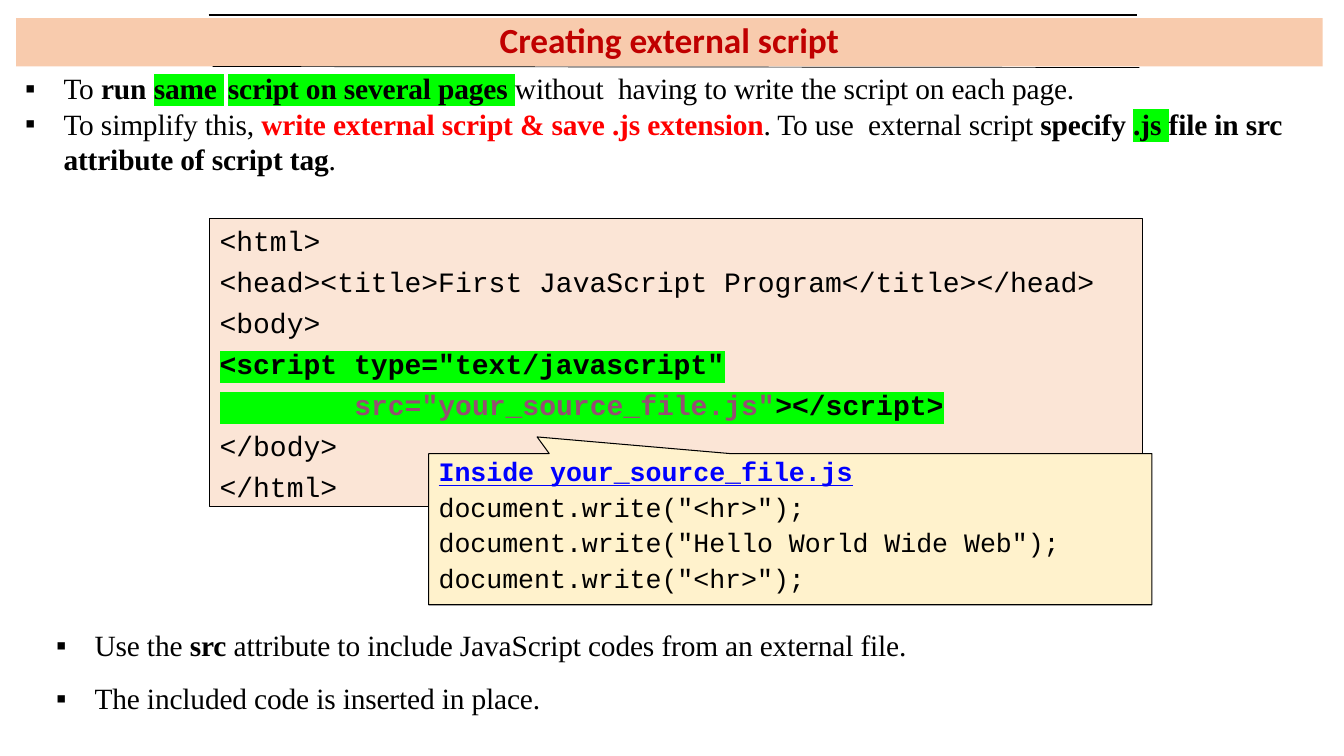
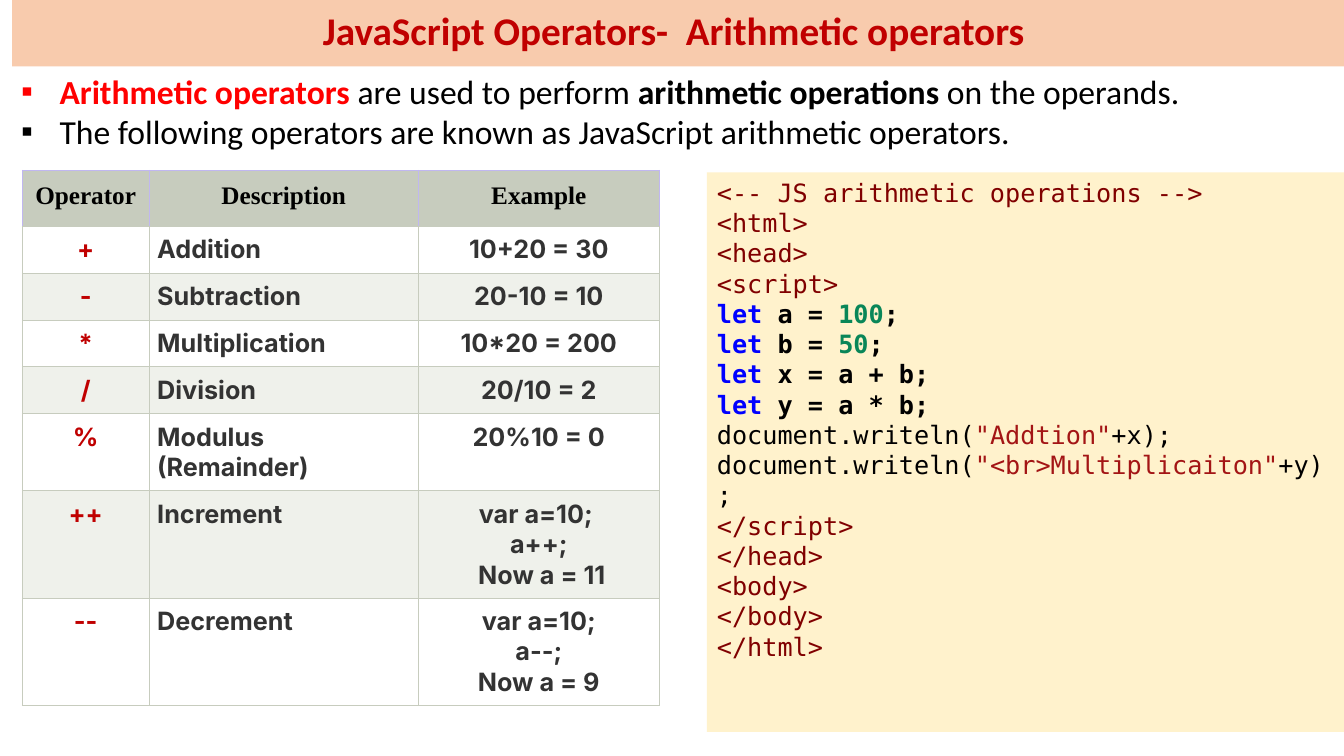
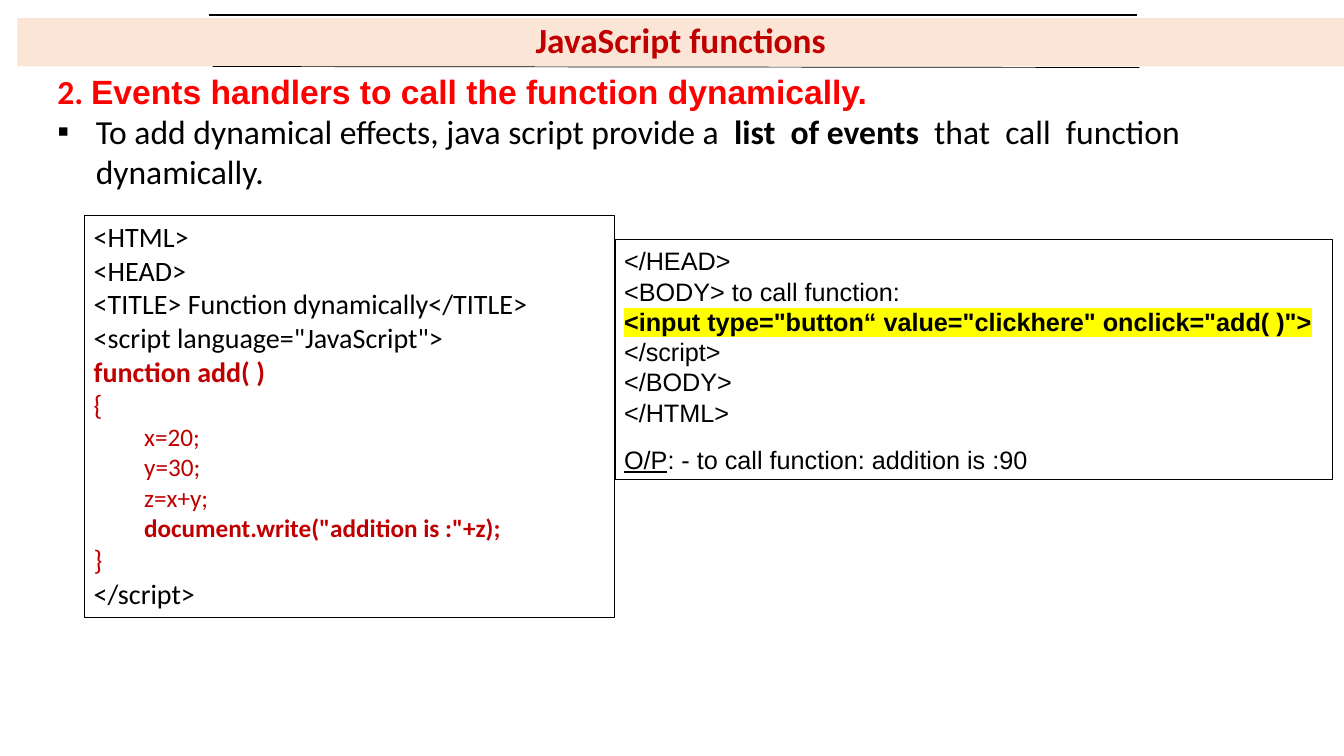
from dataclasses import dataclass, field, replace

from lxml.etree import SubElement
from pptx import Presentation
from pptx.dml.color import RGBColor
from pptx.enum.shapes import MSO_CONNECTOR, MSO_SHAPE
from pptx.enum.text import MSO_ANCHOR, MSO_AUTO_SIZE, PP_ALIGN
from pptx.oxml.ns import qn
from pptx.util import Inches, Pt

SLIDE_WIDTH, SLIDE_HEIGHT = Inches(13.33), Inches(7.5)
TITLE_ONLY = 5


@dataclass(frozen=True)
class Theme:
    """Colours, fonts and type sizes of the whole deck."""

    black: str = "000000"
    white: str = "FFFFFF"
    crimson: str = "C00000"
    red: str = "FF0000"
    blue: str = "0000FF"
    maroon: str = "800000"
    string: str = "A31515"
    number: str = "098658"
    visited: str = "954F72"
    graphite: str = "333333"
    green: str = "00FF00"
    yellow: str = "FFFF00"
    band: str = "F8CBAD"
    pale_band: str = "FBE5D6"
    cream: str = "FFF2CC"
    sage: str = "C7CCBE"
    pale_sage: str = "EFF1EB"
    lilac: str = "C0B7F0"
    sans: str = "Calibri"
    plain: str = "Arial"
    serif: str = "Times New Roman"
    mono: str = "Courier New"
    editor: str = "DejaVu Sans Mono"
    grid: str = "Inter"
    title: float = 25.2
    large_title: float = 28
    lead: float = 24
    note: float = 21
    code: float = 20
    callout: float = 19
    small: float = 18
    outline: float = 0.75
    tight: tuple = (0.09, 0.04)
    normal: tuple = (0.1, 0.05)


THEME = Theme()


@dataclass(frozen=True)
class Style:
    """Character formatting of a run."""

    font: str
    size: float
    color: str = THEME.black
    bold: bool = False
    underline: bool = False
    highlight: str = ""
    tracking: float = 0


@dataclass(frozen=True)
class Line:
    """A paragraph: a string or (text, style) pairs, with its layout."""

    content: object
    style: Style
    layout: dict = field(default_factory=dict)


BULLET = {"indent": (0.38, -0.38), "bullet": "▪"}


def columns(share):
    """Return a length in hundredths of the slide width."""
    return round(SLIDE_WIDTH * share / 100)


def rows(share):
    """Return a length in hundredths of the slide height."""
    return round(SLIDE_HEIGHT * share / 100)


def area(left, top, width, height):
    """Return a frame given in hundredths of the slide."""
    return columns(left), rows(top), columns(width), rows(height)


def rgb(color):
    """Return a colour object for a hexadecimal code."""
    return RGBColor.from_string(color)


def format_run(run, style):
    """Apply a style to a run."""
    font = run.font
    font.name, font.size = style.font, Pt(style.size)
    font.bold, font.underline = style.bold, style.underline
    font.color.rgb = rgb(style.color)
    properties = font._element
    if style.tracking:
        properties.set("spc", str(round(style.tracking * 100)))
    if style.highlight:
        highlight = SubElement(properties, qn("a:highlight"))
        SubElement(highlight, qn("a:srgbClr")).set("val", style.highlight)
        properties.find(qn("a:solidFill")).addnext(highlight)


def format_paragraph(paragraph, align=PP_ALIGN.LEFT, spacing=None, before=None,
                     indent=None, bullet=None):
    """Apply alignment, spacing, indents and a bullet to a paragraph."""
    paragraph.alignment = align
    if spacing:
        paragraph.line_spacing = spacing
    if before:
        paragraph.space_before = Pt(before)
    properties = paragraph._p.get_or_add_pPr()
    if indent:
        properties.set("marL", str(Inches(indent[0])))
        properties.set("indent", str(Inches(indent[1])))
    if bullet:
        SubElement(properties, qn("a:buFont")).set("typeface", THEME.plain)
        SubElement(properties, qn("a:buChar")).set("char", bullet)


def write(text_frame, lines, inset=THEME.normal, anchor=MSO_ANCHOR.TOP):
    """Fill a text frame with lines."""
    text_frame.word_wrap = True
    text_frame.auto_size = MSO_AUTO_SIZE.NONE
    text_frame.vertical_anchor = anchor
    text_frame.margin_left = text_frame.margin_right = Inches(inset[0])
    text_frame.margin_top = text_frame.margin_bottom = Inches(inset[1])
    for index, line in enumerate(lines):
        paragraph = text_frame.add_paragraph() if index else text_frame.paragraphs[0]
        pairs = [(line.content, line.style)] if isinstance(line.content, str) else line.content
        for text, style in pairs:
            run = paragraph.add_run()
            run.text = text
            format_run(run, style)
        format_paragraph(paragraph, **line.layout)


def add_title_slide(presentation, title, frame, fill, size=THEME.title):
    """Add a slide with a filled title band."""
    slide = presentation.slides.add_slide(presentation.slide_layouts[TITLE_ONLY])
    shape = slide.shapes.title
    shape.left, shape.top, shape.width, shape.height = frame
    shape.fill.solid()
    shape.fill.fore_color.rgb = rgb(fill)
    style = Style(THEME.sans, size, THEME.crimson, bold=True)
    layout = {"align": PP_ALIGN.CENTER, "spacing": 0.9}
    write(shape.text_frame, [Line(title, style, layout)], anchor=MSO_ANCHOR.MIDDLE)
    return slide


def add_text(slide, frame, lines, inset=THEME.tight):
    """Add a text box."""
    write(slide.shapes.add_textbox(*frame).text_frame, lines, inset)


def add_panel(slide, frame, lines, fill=None, outlined=True, kind=MSO_SHAPE.RECTANGLE,
              **text_options):
    """Add a box of code and return its shape."""
    shape = slide.shapes.add_shape(kind, *frame)
    shape.shadow.inherit = False
    if fill:
        shape.fill.solid()
        shape.fill.fore_color.rgb = rgb(fill)
    else:
        shape.fill.background()
    if outlined:
        shape.line.color.rgb = rgb(THEME.black)
        shape.line.width = Pt(THEME.outline)
    else:
        shape.line.fill.background()
    write(shape.text_frame, lines, **text_options)
    return shape


def add_band_rules(slide):
    """Add the thin rules above and below the title band."""
    for start, end, weight in (((15.53, 2), (84.62, 2), 0.96),
                               ((15.83, 8.8), (84.77, 8.93), 0.5)):
        rule = slide.shapes.add_connector(
            MSO_CONNECTOR.STRAIGHT, columns(start[0]), rows(start[1]),
            columns(end[0]), rows(end[1]))
        rule.line.color.rgb = rgb(THEME.black)
        rule.line.width = Pt(weight)
        SubElement(rule._element.spPr, qn("a:effectLst"))


def border_cell(cell, edges):
    """Draw cell borders, given as a colour for each edge."""
    properties = cell._tc.get_or_add_tcPr()
    for position, edge in enumerate(("L", "R", "T", "B")):
        line = properties.makeelement(qn(f"a:ln{edge}"), {"w": str(Pt(THEME.outline))})
        fill = SubElement(line, qn("a:solidFill"))
        SubElement(fill, qn("a:srgbClr")).set("val", edges[edge])
        properties.insert(position, line)


def add_operator_table(slide, left, top, widths, heights, records):
    """Add the striped table of operators with its header."""
    frame = area(left, top, sum(widths), sum(heights))
    table = slide.shapes.add_table(len(heights), len(widths), *frame).table
    for column, width in zip(table.columns, widths):
        column.width = columns(width)
    body = Style(THEME.grid, THEME.small, THEME.graphite, bold=True)
    header = replace(body, font=THEME.serif, color=THEME.black)
    operator = replace(body, color=THEME.crimson)
    for row_index, record in enumerate(records):
        table.rows[row_index].height = rows(heights[row_index])
        is_header = row_index == 0
        fill = THEME.sage if is_header else (THEME.pale_sage, THEME.white)[row_index % 2]
        edges = dict.fromkeys("LRTB", THEME.sage)
        if is_header:
            edges.update(dict.fromkeys("LRT", THEME.lilac))
        for column_index, text in enumerate(record):
            cell = table.cell(row_index, column_index)
            cell.fill.solid()
            cell.fill.fore_color.rgb = rgb(fill)
            margin = Inches(0.12 if is_header else 0.08)
            cell.margin_left = cell.margin_right = margin
            cell.margin_top = cell.margin_bottom = margin
            cell.text_frame.text = text
            style = header if is_header else body if column_index else operator
            centred = is_header or column_index != 1
            for paragraph in cell.text_frame.paragraphs:
                paragraph.alignment = PP_ALIGN.CENTER if centred else PP_ALIGN.LEFT
                for run in paragraph.runs:
                    format_run(run, style)
            border_cell(cell, edges)


def build_external_script(presentation):
    """Build the slide on external scripts."""
    slide = add_title_slide(presentation, "Creating external script",
                            area(1.2, 2.4, 97.22, 6.4), THEME.band)
    note = Style(THEME.serif, THEME.note, tracking=-0.1)
    strong = replace(note, bold=True)
    marked = replace(strong, highlight=THEME.green)
    alert = replace(strong, color=THEME.red)
    wide = {**BULLET, "spacing": 1.5}
    add_text(slide, area(3.45, 80, 93.45, 17.6), [
        Line([("Use the ", note), ("src ", strong),
              ("attribute to include JavaScript codes from an external file.", note)], note, wide),
        Line("The included code is inserted in place.", note, wide),
    ], THEME.normal)

    code = Style(THEME.mono, THEME.code)
    tag = replace(code, bold=True, highlight=THEME.green)
    loose = {"before": 5.3}
    listing = [
        "<html>",
        "<head><title>First JavaScript Program</title></head>",
        "<body>",
        [('<script type="text/javascript"', tag)],
        [("        ", tag), ('src="your_source_file.js"', replace(tag, color=THEME.visited)),
         ("></script>", tag)],
        "</body>",
        "</html>",
    ]
    add_panel(slide, area(15.6, 28.93, 69.4, 38.13),
              [Line(content, code, loose) for content in listing], THEME.pale_band)

    add_text(slide, area(1.2, 8.8, 97.22, 15.33), [
        Line([("To ", note), ("run ", strong), ("same", marked),
              (" ", replace(marked, tracking=2.5)), ("script on several pages ", marked),
              ("without  having to write the script on each page. ", note)], note, BULLET),
        Line([("To simplify this, ", note),
              ("write external script & save .js extension", alert),
              (". To use  external script ", note), ("specify ", strong), (".js ", marked),
              ("file in src attribute of script tag", strong), (".", note)], note, BULLET),
    ])

    statement = Style(THEME.mono, THEME.callout)
    heading = replace(statement, color=THEME.blue, bold=True, underline=True)
    snug = {"spacing": 0.9, "before": 4.9}
    hr = 'document.write("<hr>");'
    callout = add_panel(slide, area(31.9, 60, 53.8, 20), [
        Line("Inside your_source_file.js", heading, snug),
        *(Line(text, statement, snug)
          for text in (hr, 'document.write("Hello World Wide Web");', hr)),
    ], THEME.cream, kind=MSO_SHAPE.RECTANGULAR_CALLOUT)
    callout.adjustments[0], callout.adjustments[1] = -0.35, -0.61
    add_band_rules(slide)


def build_operators(presentation):
    """Build the slide on arithmetic operators."""
    slide = add_title_slide(presentation, "JavaScript Operators-  Arithmetic operators ",
                            area(0.9, 0, 99.1, 8.8), THEME.band, THEME.large_title)
    lead = Style(THEME.sans, THEME.lead)
    strong = replace(lead, bold=True)
    add_text(slide, area(0.9, 8.8, 99.1, 12), [
        Line([("Arithmetic operators ", replace(strong, color=THEME.red)),
              ("are used to perform ", lead), ("arithmetic operations ", strong),
              ("on the operands. ", lead)], lead, BULLET),
        Line("The following operators are known as JavaScript arithmetic operators.",
             lead, BULLET),
    ])
    add_operator_table(slide, 1.65, 22.53, (9.45, 20.03, 17.93),
                       (7.4, *[6.2] * 4, 10.2, 14.2, 14.2), [
        ("Operator", "Description", "Example"),
        ("+", "Addition", "10+20 = 30"),
        ("-", "Subtraction", "20-10 = 10"),
        ("*", "Multiplication", "10*20 = 200"),
        ("/", "Division", "20/10 = 2"),
        ("%", "Modulus (Remainder)", "20%10 = 0"),
        ("++", "Increment", "var a=10; \na++;\n Now a = 11"),
        ("--", "Decrement", "var a=10;\n a--; \nNow a = 9"),
    ])

    code = Style(THEME.editor, THEME.small)
    tag = replace(code, color=THEME.maroon)
    literal = replace(code, color=THEME.string)
    bold = replace(code, bold=True)
    keyword = replace(bold, color=THEME.blue)
    number = replace(bold, color=THEME.number)
    opening = ["<-- JS arithmetic operations -->", "<html>", "<head>", "<script>"]
    constants = [[("let", keyword), (f" {name} = ", bold), (value, number), (";", bold)]
                 for name, value in (("a", "100"), ("b", "50"))]
    results = [[("let", keyword), (f" {formula};", bold)]
               for formula in ("x = a + b", "y = a * b")]
    outputs = [[("document.writeln(", code), (label, literal), (f"+{name});", code)]
               for label, name in (('"Addtion"', "x"), ('"<br>Multiplicaiton"', "y"))]
    closing = ["</script>", "</head>", "<body>", "</body>", "</html>"]
    listing = opening + constants + results + outputs + closing
    add_panel(slide, area(52.6, 22.8, 47.4, 74),
              [Line(content, tag) for content in listing], THEME.cream, outlined=False)


def build_functions(presentation):
    """Build the slide on functions called by events."""
    slide = add_title_slide(presentation, "JavaScript functions",
                            area(1.3, 2.4, 98.7, 6.4), THEME.pale_band)
    lead = Style(THEME.sans, THEME.lead)
    strong = replace(lead, bold=True)
    alert = replace(strong, color=THEME.red)
    add_text(slide, area(3.6, 8.8, 92.1, 22.67), [
        Line([("2. ", alert), ("Events handlers to call the function dynamically.",
                               replace(alert, font=THEME.plain))], alert),
        Line([("To add dynamical effects, java script provide a  ", lead),
              ("list  of events  ", strong),
              ("that  call  function  dynamically. ", lead)], lead, BULLET),
    ])
    add_band_rules(slide)

    code = Style(THEME.sans, THEME.code)
    function = replace(code, color=THEME.crimson)
    step = replace(function, size=THEME.small)
    nested = {"indent": (0.81, -0.31)}
    head = ("<HTML>", "<HEAD>", "<TITLE> Function dynamically</TITLE>",
            '<script language="JavaScript"> ')
    add_panel(slide, area(6.3, 28.53, 39.46, 53.2), [
        *(Line(text, code) for text in head),
        Line("function add( )", replace(function, bold=True)),
        Line("{ ", function),
        *(Line(text, step, nested) for text in ("x=20; ", "y=30;", "z=x+y;")),
        Line('document.write("addition is :"+z);', replace(step, bold=True), nested),
        Line("}", function),
        Line("</script>", code),
    ], inset=THEME.tight)

    markup = Style(THEME.plain, THEME.small)
    button = replace(markup, bold=True, highlight=THEME.yellow)
    add_panel(slide, area(45.76, 31.73, 53.4, 31.73), [
        Line("</HEAD>", markup),
        Line("<BODY> to call function:", markup),
        Line('<input type="button“ value="clickhere" onclick="add( )">', button),
        *(Line(text, markup) for text in ("</script>", "</BODY>", "</HTML>")),
        Line([("O/P", replace(markup, underline=True)),
              (": - to call function: addition is :90", markup)], markup, {"before": 12}),
    ], inset=THEME.tight, anchor=MSO_ANCHOR.MIDDLE)


def main():
    """Build and save the presentation."""
    presentation = Presentation()
    presentation.slide_width, presentation.slide_height = SLIDE_WIDTH, SLIDE_HEIGHT
    build_external_script(presentation)
    build_operators(presentation)
    build_functions(presentation)
    presentation.save("out.pptx")


main()
